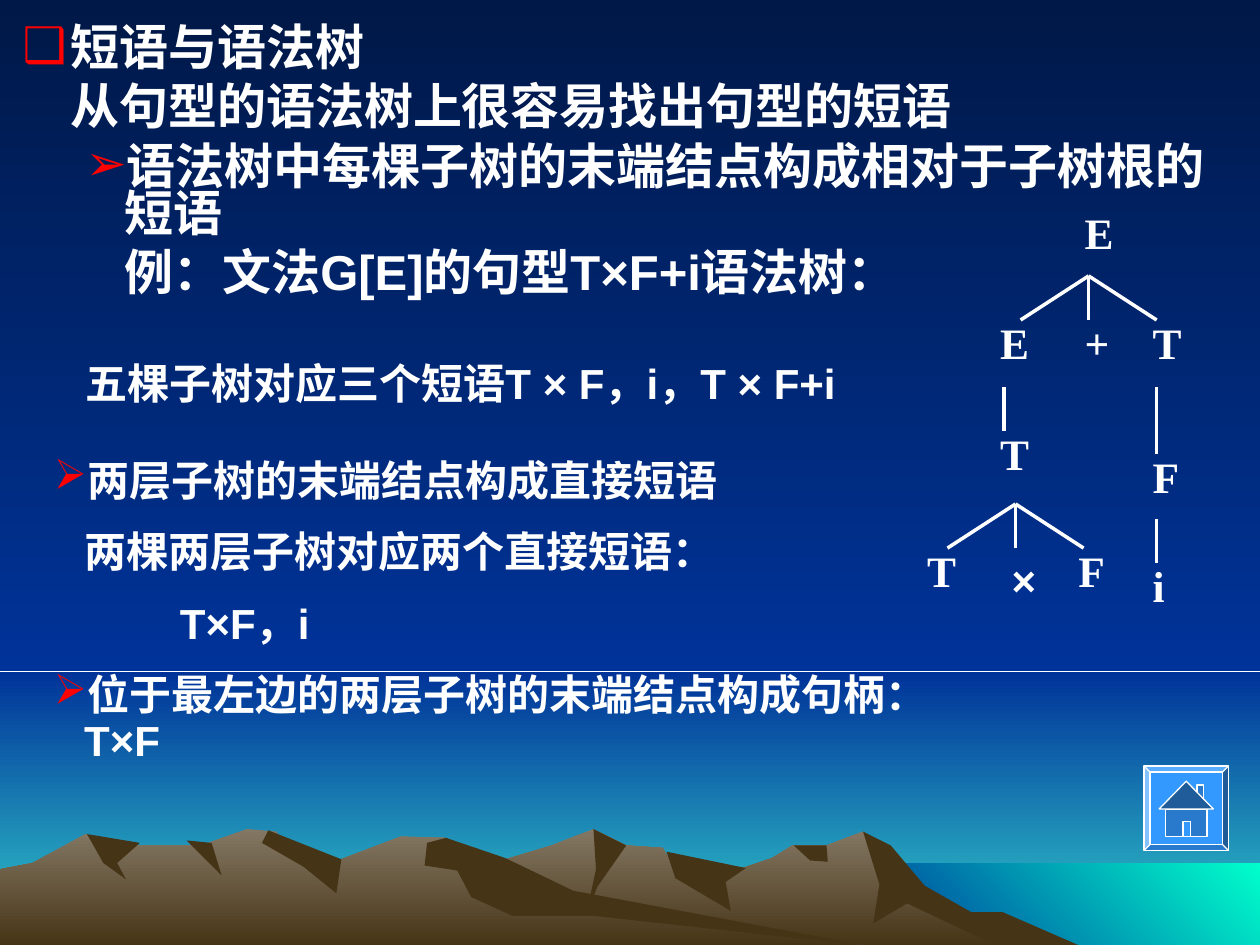
"""Build a slide on phrases and syntax trees over a mountain landscape."""
from itertools import groupby

from lxml.etree import SubElement
from pptx import Presentation
from pptx.dml.color import RGBColor
from pptx.enum.shapes import MSO_CONNECTOR, MSO_SHAPE
from pptx.enum.text import MSO_ANCHOR, MSO_AUTO_SIZE, PP_ALIGN
from pptx.oxml.ns import qn
from pptx.util import Pt

PX = 9144
WIDTH, HEIGHT, HORIZON = 1000, 750, 533
COLORS = {
    "night": "001847", "blue": "003399", "teal": "33CCCC", "sea": "00FFCC",
    "stone": "847864", "earth": "463416", "white": "FFFFFF", "red": "FF0000",
    "button": "3399FF", "roof": "1F5C99", "wall": "2979CC",
}
LATIN_FONT, TEXT_FONT = "Arial", "Times New Roman"

BODY = [
    ("短语与语法树", 38, -38, "❑", 0, PP_ALIGN.LEFT),
    ("从句型的语法树上很容易找出句型的短语", 38, 0, None, 0, PP_ALIGN.JUSTIFY),
    ("语法树中每棵子树的末端结点构成相对于子树根的短语", 81, -31, "➢", 1, PP_ALIGN.JUSTIFY),
    ("例：文法G[E]的句型T×F+i语法树：", 81, 0, None, 0, PP_ALIGN.JUSTIFY),
]
PHRASES = [("五棵子树对应三个短语T × F，i，T × F+i", 0, 0, None, 0, PP_ALIGN.LEFT)]
HANDLES = [
    ("两层子树的末端结点构成直接短语", 24, -24, "➢", 0, PP_ALIGN.LEFT),
    ("两棵两层子树对应两个直接短语：", 24, 0, None, 0, PP_ALIGN.LEFT),
    ("T×F，i", 100, 0, None, 0, PP_ALIGN.LEFT),
    ("位于最左边的两层子树的末端结点构成句柄：\nT×F", 24, -24, "➢", 0, PP_ALIGN.LEFT),
]

TREE_ROWS = [
    (167, [("E", 851)]),
    (254, [("E", 784), ("+", 851), ("T", 905)]),
    (342, [("T", 784)]),
    (360, [("F", 905)]),
    (435, [("T", 726), ("×", 793), ("F", 846)]),
    (447, [("i", 905)]),
]
FANS = [(864, 219), (806, 400)]
STEMS = [(797, 307, 342), (918, 307, 360), (918, 412, 447)]

RIDGES = [
    [(258, 751), (355, 698), (405, 681), (438, 671), (471, 658), (497, 671), (526, 673),
     (536, 690), (566, 697), (613, 681), (629, 671), (656, 671), (685, 660), (702, 671),
     (723, 698), (764, 723), (821, 751)],
    [(0, 751), (0, 690), (26, 685), (68, 662), (94, 671), (160, 671), (196, 658),
     (219, 660), (236, 681), (271, 682), (318, 664), (354, 665), (432, 712), (690, 751)],
]
SHADOWS = [
    [(685, 660), (707, 671), (734, 703), (771, 724), (796, 724), (858, 751), (792, 751),
     (720, 717), (693, 733), (698, 702)],
    [(471, 658), (497, 671), (474, 704), (465, 727), (473, 690)],
    [(529, 676), (592, 689), (576, 700), (580, 723), (536, 697)],
    [(630, 671), (656, 671), (657, 684), (643, 683)],
    [(213, 659), (271, 682), (267, 709), (241, 688), (208, 669)],
    [(339, 669), (354, 665), (401, 681), (455, 707), (690, 751), (472, 727), (407, 727),
     (374, 712), (363, 691), (337, 687)],
    [(148, 667), (168, 669), (176, 695)],
    [(69, 662), (111, 669), (93, 685), (100, 698), (82, 685)],
]
HOUSE = [
    (MSO_SHAPE.RECTANGLE, "wall", (950, 623, 5, 15)),
    (MSO_SHAPE.RECTANGLE, "wall", (925, 642, 33, 22)),
    (MSO_SHAPE.ISOSCELES_TRIANGLE, "roof", (920, 620, 43, 22)),
    (MSO_SHAPE.RECTANGLE, "button", (939, 652, 6, 12)),
]


def color(name):
    return RGBColor.from_string(COLORS[name])


def scaled(lengths):
    return [length * PX for length in lengths]


def paint(shape, names, angle=270, outline=None):
    shape.shadow.inherit = False
    if len(names) == 2:
        shape.fill.gradient()
        shape.fill.gradient_angle = angle
        for stop, name in zip(shape.fill.gradient_stops, names):
            stop.color.rgb = color(name)
    else:
        shape.fill.solid()
        shape.fill.fore_color.rgb = color(names[0])
    if outline:
        shape.line.color.rgb = color(outline)
        shape.line.width = Pt(0.75)
    else:
        shape.line.fill.background()


def add_block(slide, kind, box, names, angle=270, outline=None):
    shape = slide.shapes.add_shape(kind, *scaled(box))
    paint(shape, names, angle, outline)
    return shape


def add_polygon(slide, points, names):
    builder = slide.shapes.build_freeform(*points[0], scale=PX)
    builder.add_line_segments(points[1:], close=True)
    paint(builder.convert_to_shape(), names)


def add_line(slide, *ends):
    connector = slide.shapes.add_connector(MSO_CONNECTOR.STRAIGHT, *scaled(ends))
    connector.line.color.rgb = color("white")
    connector.line.width = Pt(2)
    SubElement(connector.element.spPr, qn("a:effectLst"))


def format_run(run, size, font_name):
    run.font.size = Pt(size)
    run.font.name = font_name
    run.font.bold = True
    run.font.color.rgb = color("white")


def set_bullet(paragraph, margin, indent, bullet):
    properties = paragraph._p.get_or_add_pPr()
    properties.set("marL", str(margin * PX))
    properties.set("indent", str(indent * PX))
    if bullet:
        bullet_color = SubElement(properties, qn("a:buClr"))
        SubElement(bullet_color, qn("a:srgbClr"), val=COLORS["red"])
        SubElement(properties, qn("a:buChar"), char=bullet)
    else:
        SubElement(properties, qn("a:buNone"))


def write_list(shape, items, size, line_spacing, space_before):
    frame = shape.text_frame
    frame.word_wrap = True
    frame.auto_size = MSO_AUTO_SIZE.NONE
    frame.vertical_anchor = MSO_ANCHOR.TOP
    for index, (text, margin, indent, bullet, level, alignment) in enumerate(items):
        paragraph = frame.add_paragraph() if index else frame.paragraphs[0]
        paragraph.level = level
        paragraph.alignment = alignment
        paragraph.line_spacing = line_spacing
        paragraph.space_before = Pt(space_before)
        set_bullet(paragraph, margin, indent, bullet)
        for row, line in enumerate(text.split("\n")):
            if row:
                paragraph.add_line_break()
            for is_latin, letters in groupby(line, key=lambda letter: ord(letter) < 256):
                run = paragraph.add_run()
                run.text = "".join(letters)
                format_run(run, size, LATIN_FONT if is_latin else TEXT_FONT)


def add_landscape(slide):
    rectangle = MSO_SHAPE.RECTANGLE
    add_block(slide, rectangle, (0, 0, WIDTH, HORIZON), ("night", "blue"))
    add_block(slide, rectangle, (0, HORIZON, WIDTH, HEIGHT - HORIZON), ("blue", "teal"))
    add_block(slide, rectangle, (683, 685, 317, 67), ("blue", "sea"), 45)
    for points in RIDGES:
        add_polygon(slide, points, ("stone", "earth"))
    for points in SHADOWS:
        add_polygon(slide, points, ("earth",))


def add_tree(slide):
    for top, nodes in TREE_ROWS:
        for label, left in nodes:
            frame = slide.shapes.add_textbox(*scaled((left, top, 54, 53))).text_frame
            frame.word_wrap = True
            frame.text = label
            is_times = label == "×"
            frame.paragraphs[0].line_spacing = 1.0 if is_times else 0.8
            format_run(frame.paragraphs[0].runs[0], 24 if is_times else 24.8,
                       LATIN_FONT if is_times else TEXT_FONT)
    for x, y in FANS:
        for offset in (-54, 0, 54):
            add_line(slide, x, y, x + offset, y + 35)
    for x, top, bottom in STEMS:
        add_line(slide, x, top, x, bottom)


def add_home_button(slide):
    button = add_block(
        slide, MSO_SHAPE.BEVEL, (908, 608, 67, 67), ("button",), outline="white")
    button.adjustments[0] = 0.07
    for kind, name, box in HOUSE:
        add_block(slide, kind, box, (name,), outline="white")


def main():
    presentation = Presentation()
    presentation.slide_width, presentation.slide_height = scaled((WIDTH, HEIGHT))
    slide = presentation.slides.add_slide(presentation.slide_layouts[1])
    title, body = slide.placeholders
    title.element.getparent().remove(title.element)
    add_landscape(slide)
    body.element.getparent().append(body.element)
    body.left, body.top, body.width, body.height = scaled((8, 17, 958, 233))
    write_list(body, BODY, 28, 0.8, 7)
    add_tree(slide)
    add_home_button(slide)
    for box, items in (((58, 283, 675, 46), PHRASES), ((33, 360, 858, 253), HANDLES)):
        write_list(slide.shapes.add_textbox(*scaled(box)), items, 24, 0.9, 15)
    presentation.save("out.pptx")


if __name__ == "__main__":
    main()
